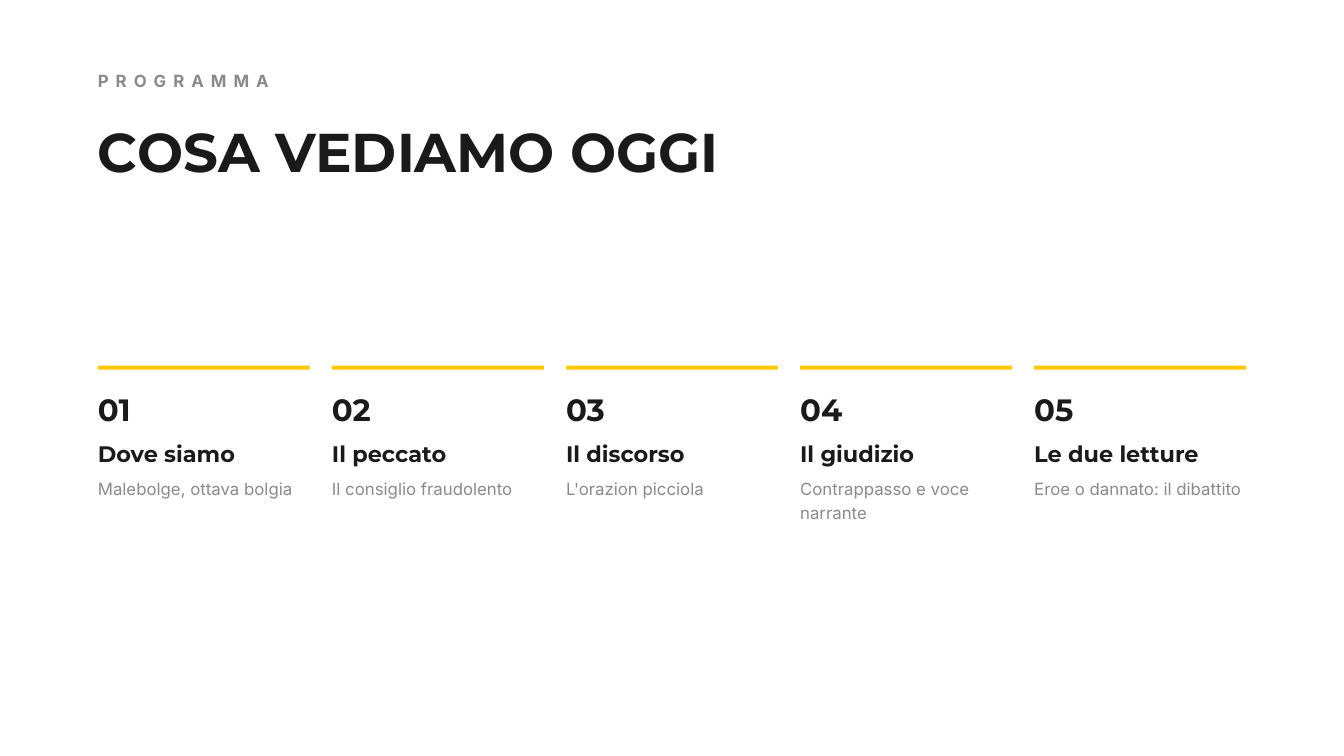
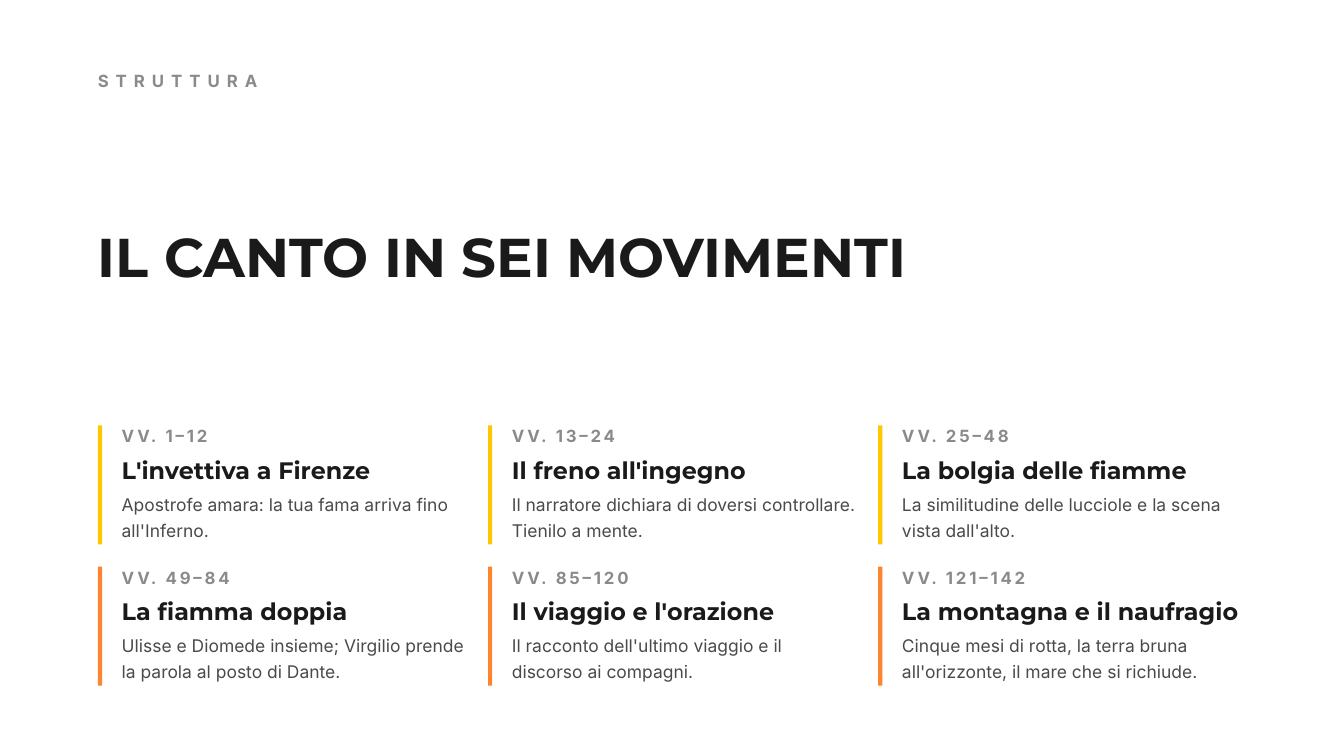
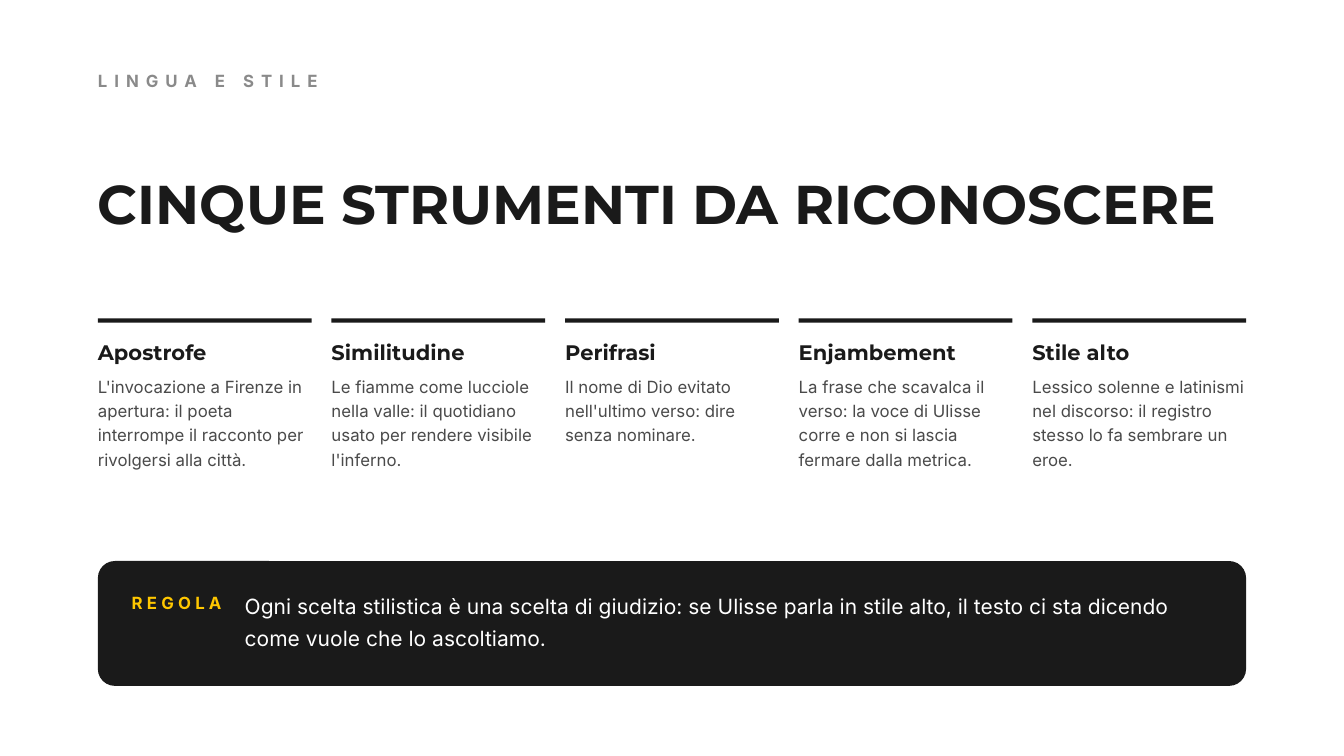
from dataclasses import dataclass

import pptx
import pptx.dml.color
import pptx.enum.shapes
import pptx.enum.text
import pptx.util
from pptx.util import Cm, Pt


@dataclass(frozen=True)
class Style:
    font: str
    size: float
    line: float
    color: str
    bold: bool = False
    tracking: float = 0


class Theme:
    INK, GREY, BODY, WHITE = "1A1A1A", "8A8A8A", "4A4A4A", "FFFFFF"
    YELLOW, ORANGE = "FFC700", "FF842F"
    HEAD, TEXT = "Montserrat", "Inter"

    kicker = Style(TEXT, 18, 25.2, GREY, True, 7.5)
    title = Style(HEAD, 58.5, 58.5, INK, True)
    number = Style(HEAD, 33, 46.2, INK, True)
    topic = Style(HEAD, 24, 27.6, INK, True)
    topic_note = Style(TEXT, 18, 26.1, GREY)
    verses = Style(TEXT, 18, 25.2, GREY, True, 3)
    movement = Style(HEAD, 25.5, 30.6, INK, True)
    summary = Style(TEXT, 18.75, 27.19, BODY)
    device = Style(HEAD, 22.5, 27, INK, True)
    device_note = Style(TEXT, 18, 26.1, BODY)
    rule_label = Style(TEXT, 18, 25.2, YELLOW, True, 4.5)
    rule_text = Style(TEXT, 22.5, 33.75, WHITE)


# Lengths in centimetres
PAGE_WIDTH, PAGE_HEIGHT = 50.8, 28.58
MARGIN, CONTENT_WIDTH = 3.7, 43.4
BAR = 0.16
GAP = 0.84

AGENDA = [
    ("01", "Dove siamo", "Malebolge, ottava bolgia"),
    ("02", "Il peccato", "Il consiglio fraudolento"),
    ("03", "Il discorso", "L'orazion picciola"),
    ("04", "Il giudizio", "Contrappasso e voce narrante"),
    ("05", "Le due letture", "Eroe o dannato: il dibattito"),
]

MOVEMENTS = [
    (Theme.YELLOW, [
        ("VV. 1–12", "L'invettiva a Firenze",
         "Apostrofe amara: la tua fama arriva fino all'Inferno."),
        ("VV. 13–24", "Il freno all'ingegno",
         "Il narratore dichiara di doversi controllare. Tienilo a mente."),
        ("VV. 25–48", "La bolgia delle fiamme",
         "La similitudine delle lucciole e la scena vista dall'alto."),
    ]),
    (Theme.ORANGE, [
        ("VV. 49–84", "La fiamma doppia",
         "Ulisse e Diomede insieme; Virgilio prende la parola al posto di Dante."),
        ("VV. 85–120", "Il viaggio e l'orazione",
         "Il racconto dell'ultimo viaggio e il discorso ai compagni."),
        ("VV. 121–142", "La montagna e il naufragio",
         "Cinque mesi di rotta, la terra bruna all'orizzonte, il mare che si richiude."),
    ]),
]

DEVICES = [
    ("Apostrofe", "L'invocazione a Firenze in apertura: il poeta interrompe "
                  "il racconto per rivolgersi alla città."),
    ("Similitudine", "Le fiamme come lucciole nella valle: il quotidiano usato "
                     "per rendere visibile l'inferno."),
    ("Perifrasi", "Il nome di Dio evitato nell'ultimo verso: dire senza nominare."),
    ("Enjambement", "La frase che scavalca il verso: la voce di Ulisse corre "
                    "e non si lascia fermare dalla metrica."),
    ("Stile alto", "Lessico solenne e latinismi nel discorso: il registro stesso "
                   "lo fa sembrare un eroe."),
]

RULE = ("REGOLA", "Ogni scelta stilistica è una scelta di giudizio: se Ulisse parla "
                  "in stile alto, il testo ci sta dicendo come vuole che lo ascoltiamo.")

# Parts of a card from its top: style, offset, height
AGENDA_PARTS = [(Theme.number, 0.71, 1.63), (Theme.topic, 2.87, 0.91),
                (Theme.topic_note, 4.11, 1.98)]
MOVEMENT_PARTS = [(Theme.verses, -0.1, 0.86), (Theme.movement, 1.14, 1.07),
                  (Theme.summary, 2.44, 2.06)]
DEVICE_PARTS = [(Theme.device, 0.81, 0.99), (Theme.device_note, 2.03, 3.81)]


def rgb(color):
    return pptx.dml.color.RGBColor.from_string(color)


def write(box, text, style):
    frame = box.text_frame
    frame.word_wrap = True
    frame.auto_size = pptx.enum.text.MSO_AUTO_SIZE.SHAPE_TO_FIT_TEXT
    frame.vertical_anchor = pptx.enum.text.MSO_ANCHOR.TOP
    frame.margin_left = frame.margin_right = 0
    frame.margin_top = frame.margin_bottom = 0
    para = frame.paragraphs[0]
    para.alignment = pptx.enum.text.PP_ALIGN.LEFT
    para.line_spacing = Pt(style.line)
    span = para.add_run()
    span.text = text
    span.font.name = style.font
    span.font.size = Pt(style.size)
    span.font.bold = style.bold
    span.font.color.rgb = rgb(style.color)
    if style.tracking:
        span._r.get_or_add_rPr().set("spc", str(int(style.tracking * 100)))


def add_text(page, text, style, left, top, width, height):
    box = page.shapes.add_textbox(Cm(left), Cm(top), Cm(width), Cm(height))
    write(box, text, style)


def add_block(page, color, left, top, width, height, radius=0):
    kinds = pptx.enum.shapes.MSO_SHAPE
    block = page.shapes.add_shape(
        kinds.ROUNDED_RECTANGLE if radius else kinds.RECTANGLE,
        Cm(left), Cm(top), Cm(width), Cm(height))
    if radius:
        block.adjustments[0] = radius / min(width, height)
    block.shadow.inherit = False
    block.fill.solid()
    block.fill.fore_color.rgb = rgb(color)
    block.line.fill.background()


def add_page(deck, kicker, title, title_top):
    page = deck.slides.add_slide(deck.slide_layouts[5])
    heading = page.shapes.title
    heading.left, heading.top = Cm(MARGIN), Cm(title_top)
    heading.width, heading.height = Cm(CONTENT_WIDTH), Cm(1.78)
    write(heading, title, Theme.title)
    add_text(page, kicker, Theme.kicker, MARGIN, 2.54, CONTENT_WIDTH, 0.86)
    return page


def columns(count, gap):
    """Return the left edges and the common width of equal columns."""
    width = (CONTENT_WIDTH - gap * (count - 1)) / count
    return [MARGIN + i * (width + gap) for i in range(count)], width


def add_parts(page, texts, parts, left, top, width):
    for text, (style, offset, height) in zip(texts, parts):
        add_text(page, text, style, left, top + offset, width, height)


def add_ruled_columns(page, cards, parts, color, top, gap):
    lefts, width = columns(len(cards), gap)
    for left, texts in zip(lefts, cards):
        add_block(page, color, left, top, width, BAR)
        add_parts(page, texts, parts, left, top, width)


def build_agenda(deck):
    page = add_page(deck, "PROGRAMMA", "COSA VEDIAMO OGGI", 4.87)
    add_ruled_columns(page, AGENDA, AGENDA_PARTS, Theme.YELLOW, 13.82, GAP)


def build_movements(deck):
    page = add_page(deck, "STRUTTURA", "IL CANTO IN SEI MOVIMENTI", 8.85)
    card_height, indent = 4.5, 0.9
    for row, (color, cards) in enumerate(MOVEMENTS):
        top = 16.08 + row * (card_height + GAP)
        lefts, width = columns(len(cards), GAP)
        for left, texts in zip(lefts, cards):
            add_block(page, color, left, top, BAR, card_height)
            add_parts(page, texts, MOVEMENT_PARTS, left + indent, top, width - indent)


def build_devices(deck):
    page = add_page(deck, "LINGUA E STILE", "CINQUE STRUMENTI DA RICONOSCERE", 6.83)
    add_ruled_columns(page, DEVICES, DEVICE_PARTS, Theme.INK, 12.04, 0.75)
    label, text = RULE
    add_block(page, Theme.INK, MARGIN, 21.21, CONTENT_WIDTH, 4.72, radius=0.64)
    add_text(page, label, Theme.rule_label, 4.98, 22.28, 3.53, 1.04)
    add_text(page, text, Theme.rule_text, 9.25, 22.2, 36.58, 2.57)


def main():
    deck = pptx.Presentation()
    deck.slide_width, deck.slide_height = Cm(PAGE_WIDTH), Cm(PAGE_HEIGHT)
    build_agenda(deck)
    build_movements(deck)
    build_devices(deck)
    deck.save("out.pptx")


if __name__ == "__main__":
    main()
